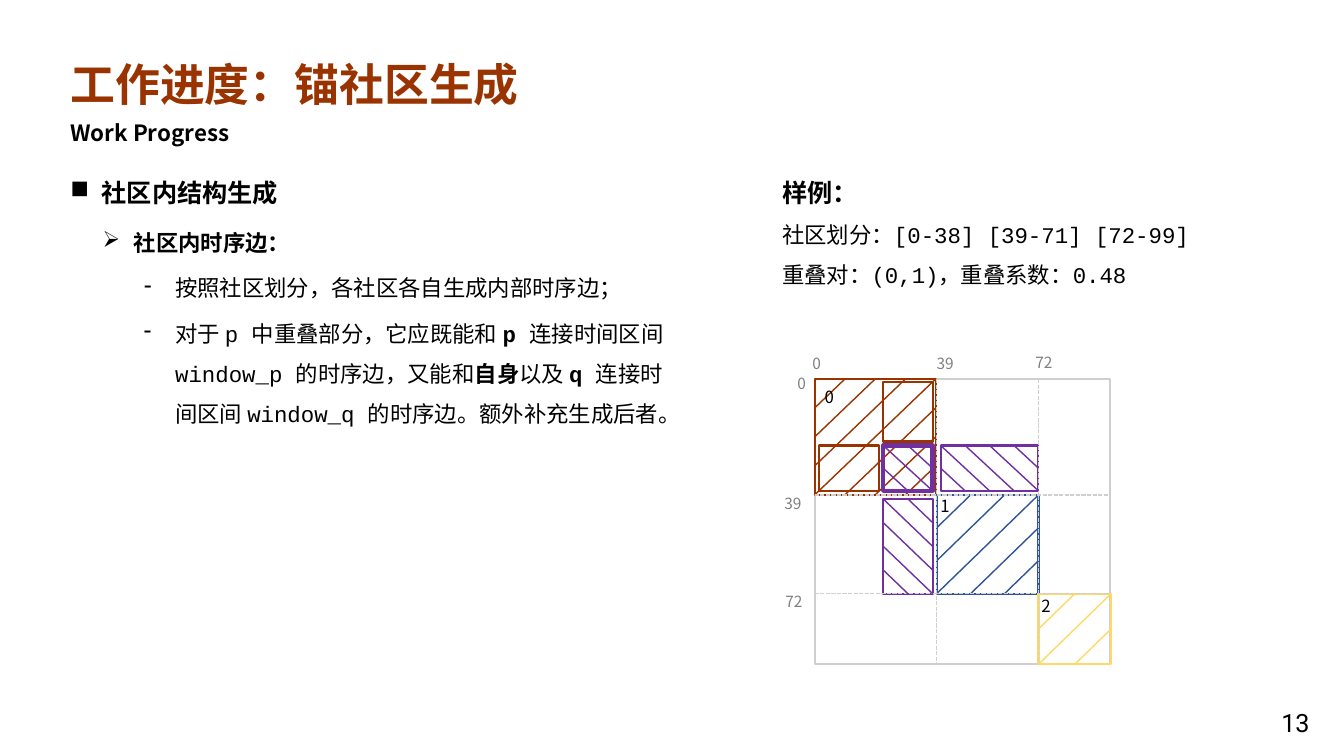
"""Builds the slide on anchor community generation with its hatched matrix."""
import pptx
import pptx.util
import pptx.dml.color
import pptx.enum.dml
import pptx.enum.shapes
import pptx.enum.text
import lxml.etree

Inches = pptx.util.Inches
SANS, MONO, ROBOTO = "Noto Sans CJK SC", "Courier New", "Roboto"
BLACK, GREY, RULE = "000000", "808080", "D0CECE"
RED, BLUE, YELLOW, PURPLE = "993300", "2F5597", "FFD966", "7030A0"

TITLE = (0.6, 0.51, 4.69, 0.64), [[("工作进度：锚社区生成", SANS, True)]], 32
SUBTITLE = (0.6, 1.13, 3.38, 0.37), [[("Work Progress", SANS, True)]], 16
PAGE_NUMBER = (12.61, 6.97, 0.54, 0.4), [[("13", ROBOTO, False)]], 18
EXAMPLE = (7.66, 1.56, 4.39, 1.32), [
    [("样例：", SANS, True)],
    [("社区划分：", SANS, False), ("[0-38] [39-71] [72-99]", MONO, False)],
    [("重叠对：", SANS, False), ("(0,1)", MONO, False),
     ("，重叠系数：", SANS, False), ("0.48", MONO, False)],
], 16
BULLETS = [
    ((0.6, 1.56, 2.61, 0.51), "■", 0, 0.31, 18, [("社区内结构生成", SANS, True)]),
    ((0.92, 2.09, 7.25, 0.46), "➢", 0, 0.31, 16, [("社区内时序边：", SANS, True)]),
    ((0.83, 2.54, 5.79, 0.46), "-", 1, 0.81, 16,
     [("按照社区划分，各社区各自生成内部时序边；", SANS, False)]),
    ((0.83, 2.99, 5.94, 1.27), "-", 1, 0.81, 16, [
        ("对于 ", SANS, False), ("p ", MONO, False),
        ("中重叠部分，它应既能和 ", SANS, False), ("p ", MONO, True),
        ("连接时间区间 ", SANS, False), ("window_p ", MONO, False),
        ("的时序边，又能和", SANS, False), ("自身", SANS, True),
        ("以及 ", SANS, False), ("q ", MONO, True),
        ("连接时间区间 ", SANS, False), ("window_q ", MONO, False),
        ("的时序边。额外补充生成后者。", SANS, False)]),
]

MATRIX = (8.08, 3.76, 2.93, 2.83)
COMMUNITY_0 = (8.08, 3.76, 1.2, 1.15)
COMMUNITY_1 = (9.29, 4.91, 1.01, 0.98)
COMMUNITY_2 = (10.3, 5.89, 0.72, 0.7)
OVERLAP = (8.76, 4.42, 0.49, 0.45)
WINDOW_Q_RIGHT = (9.33, 4.42, 0.97, 0.45)
WINDOW_Q_BELOW = (8.76, 4.95, 0.49, 0.94)
WINDOW_P_LEFT = (8.12, 4.42, 0.6, 0.45)
WINDOW_P_ABOVE = (8.76, 3.79, 0.49, 0.59)

BACK_HATCHES = [(COMMUNITY_1, BLUE, 3, 3, False), (COMMUNITY_0, RED, 4, 4, False)]
BLOCKS = [(MATRIX, RULE, 1.5), (COMMUNITY_0, RED, 1.5), (COMMUNITY_1, BLUE, 1.5),
          (COMMUNITY_2, YELLOW, 1.5), (WINDOW_Q_BELOW, PURPLE, 1.5),
          (WINDOW_Q_RIGHT, PURPLE, 1.5)]
FRONT_HATCHES = [(COMMUNITY_2, YELLOW, 2, 2, False), (OVERLAP, PURPLE, 2, 2, True),
                 (WINDOW_Q_RIGHT, PURPLE, 4, 2, True),
                 (WINDOW_Q_BELOW, PURPLE, 2, 4, True)]
FRONT_BLOCKS = [(OVERLAP, PURPLE, 3), (WINDOW_P_LEFT, RED, 1.5),
                (WINDOW_P_ABOVE, RED, 1.5)]
COMMUNITY_LABELS = [("0", 8.08, 3.79, 0.36), ("1", 9.23, 4.87, 0.26),
                    ("2", 10.23, 5.86, 0.36)]
AXIS_LABELS = [("0", 7.96, 3.46, 0.36), ("39", 9.19, 3.46, 0.49),
               ("72", 10.17, 3.45, 0.49), ("0", 7.81, 3.66, 0.36),
               ("39", 7.68, 4.85, 0.49), ("72", 7.69, 5.83, 0.49)]


def colour(value):
    return pptx.dml.color.RGBColor.from_string(value)


def add_text(slide, box, paragraphs, size, ink=BLACK, spacing=None, wrap=True):
    frame = slide.shapes.add_textbox(*map(Inches, box)).text_frame
    frame.word_wrap = wrap
    frame.auto_size = pptx.enum.text.MSO_AUTO_SIZE.SHAPE_TO_FIT_TEXT
    for index, pieces in enumerate(paragraphs):
        paragraph = frame.paragraphs[0] if index == 0 else frame.add_paragraph()
        if spacing:
            paragraph.line_spacing = spacing
        for words, face, bold in pieces:
            run = paragraph.add_run()
            run.text = words
            run.font.size = pptx.util.Pt(size)
            run.font.bold = bold
            run.font.name = face
            run.font.color.rgb = colour(ink)
            east_asian = lxml.etree.SubElement(
                run.font._element, pptx.oxml.ns.qn("a:ea"))
            east_asian.set("typeface", face)
    return frame


def add_bullet(slide, box, mark, level, indent, size, pieces):
    paragraph = add_text(slide, box, [pieces], size, spacing=1.5).paragraphs[0]
    paragraph.level = level
    properties = paragraph._p.get_or_add_pPr()
    properties.set("marL", str(Inches(indent)))
    properties.set("indent", str(Inches(-0.31)))
    bullet = lxml.etree.SubElement(properties, pptx.oxml.ns.qn("a:buChar"))
    bullet.set("char", mark)


def add_line(slide, start, end, ink, dashed=False):
    line = slide.shapes.add_connector(
        pptx.enum.shapes.MSO_CONNECTOR.STRAIGHT, *map(Inches, (*start, *end)))
    line.line.color.rgb = colour(ink)
    line.line.width = pptx.util.Pt(1)
    if dashed:
        line.line.dash_style = pptx.enum.dml.MSO_LINE.SQUARE_DOT
    lxml.etree.SubElement(line._element.spPr, pptx.oxml.ns.qn("a:effectLst"))


def add_hatch(slide, box, ink, columns, rows, falling):
    left, top, width, height = box

    def place(column, row):
        across = columns - column if falling else column
        return left + width * across / columns, top + height * row / rows

    for step in range(1, columns + rows):
        upper = place(min(step, columns), max(0, step - columns))
        lower = place(max(0, step - rows), min(step, rows))
        add_line(slide, upper, lower, ink)


def add_block(slide, box, ink, weight):
    block = slide.shapes.add_shape(
        pptx.enum.shapes.MSO_SHAPE.RECTANGLE, *map(Inches, box))
    block.shadow.inherit = False
    block.fill.background()
    block.line.color.rgb = colour(ink)
    block.line.width = pptx.util.Pt(weight)


def main():
    deck = pptx.Presentation()
    deck.slide_width, deck.slide_height = Inches(13.33), Inches(7.5)
    slide = deck.slides.add_slide(deck.slide_layouts[6])

    for hatch in BACK_HATCHES:
        add_hatch(slide, *hatch)
    add_text(slide, *SUBTITLE)
    add_text(slide, *TITLE, ink=RED, wrap=False)
    add_text(slide, *PAGE_NUMBER)
    for bullet in BULLETS:
        add_bullet(slide, *bullet)
    example = add_text(slide, *EXAMPLE, spacing=1.5)
    example.paragraphs[0].runs[0].font.size = pptx.util.Pt(18)

    for block in BLOCKS:
        add_block(slide, *block)
    for labels, size, ink in ((COMMUNITY_LABELS, 12, BLACK), (AXIS_LABELS, 11, GREY)):
        for words, left, top, width in labels:
            add_text(slide, (left, top, width, 0.36), [[(words, SANS, False)]], size, ink)

    left, top, width, height = MATRIX
    for x, y, _, _ in (COMMUNITY_1, COMMUNITY_2):
        add_line(slide, (x, top), (x, top + height), RULE, dashed=True)
        add_line(slide, (left, y), (left + width, y), RULE, dashed=True)
    for hatch in FRONT_HATCHES:
        add_hatch(slide, *hatch)
    for block in FRONT_BLOCKS:
        add_block(slide, *block)
    deck.save("out.pptx")


if __name__ == "__main__":
    main()
